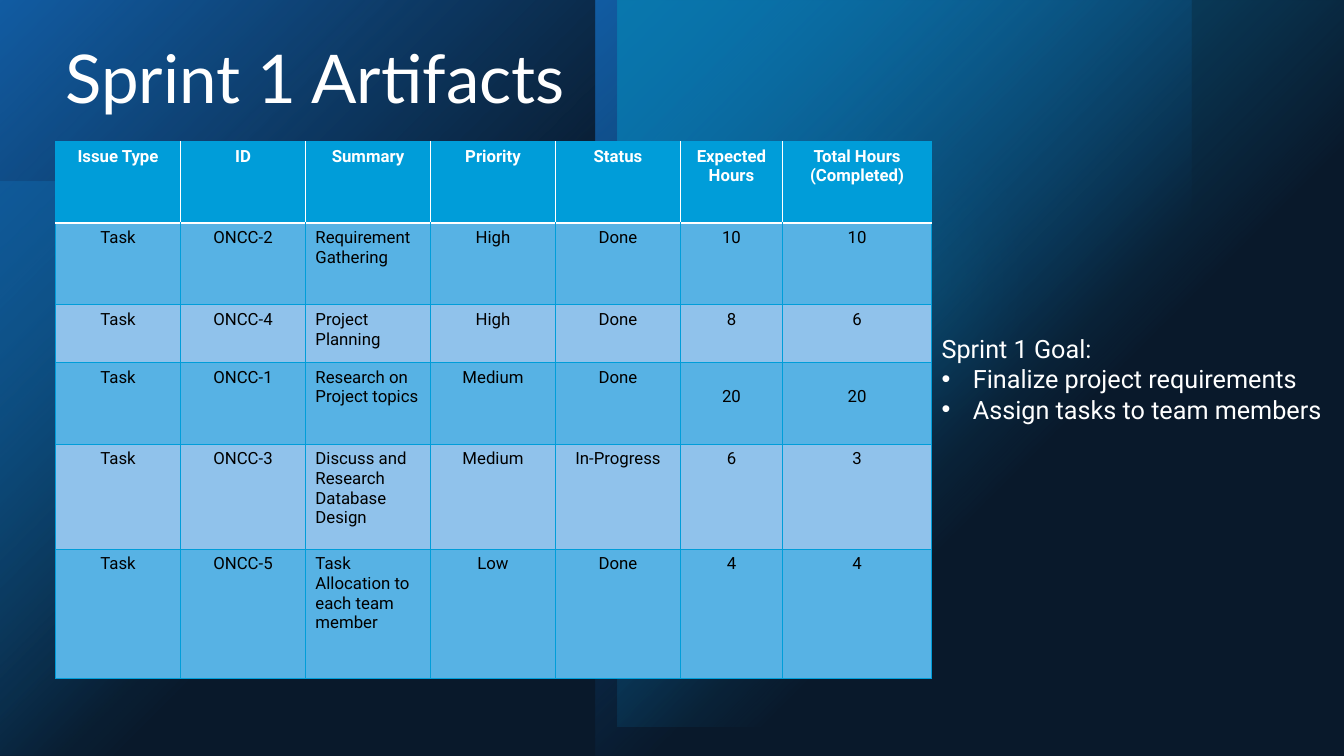
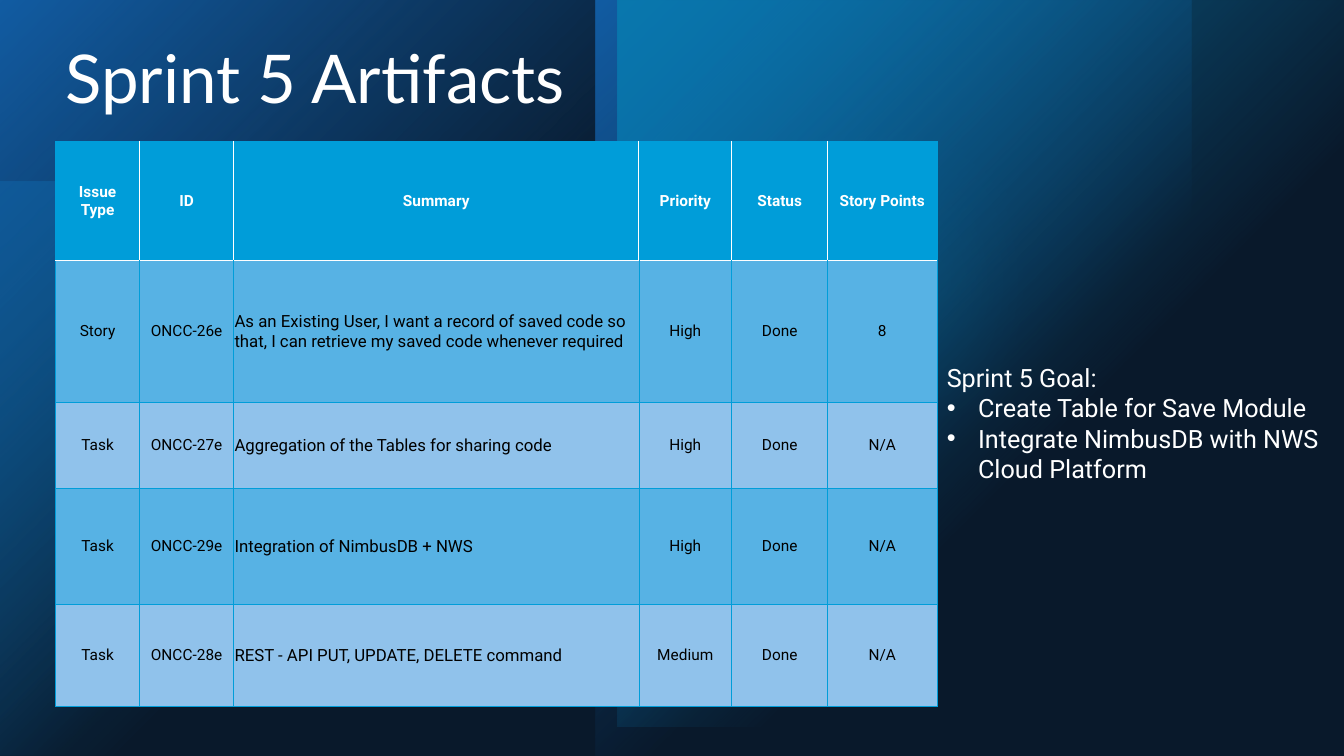
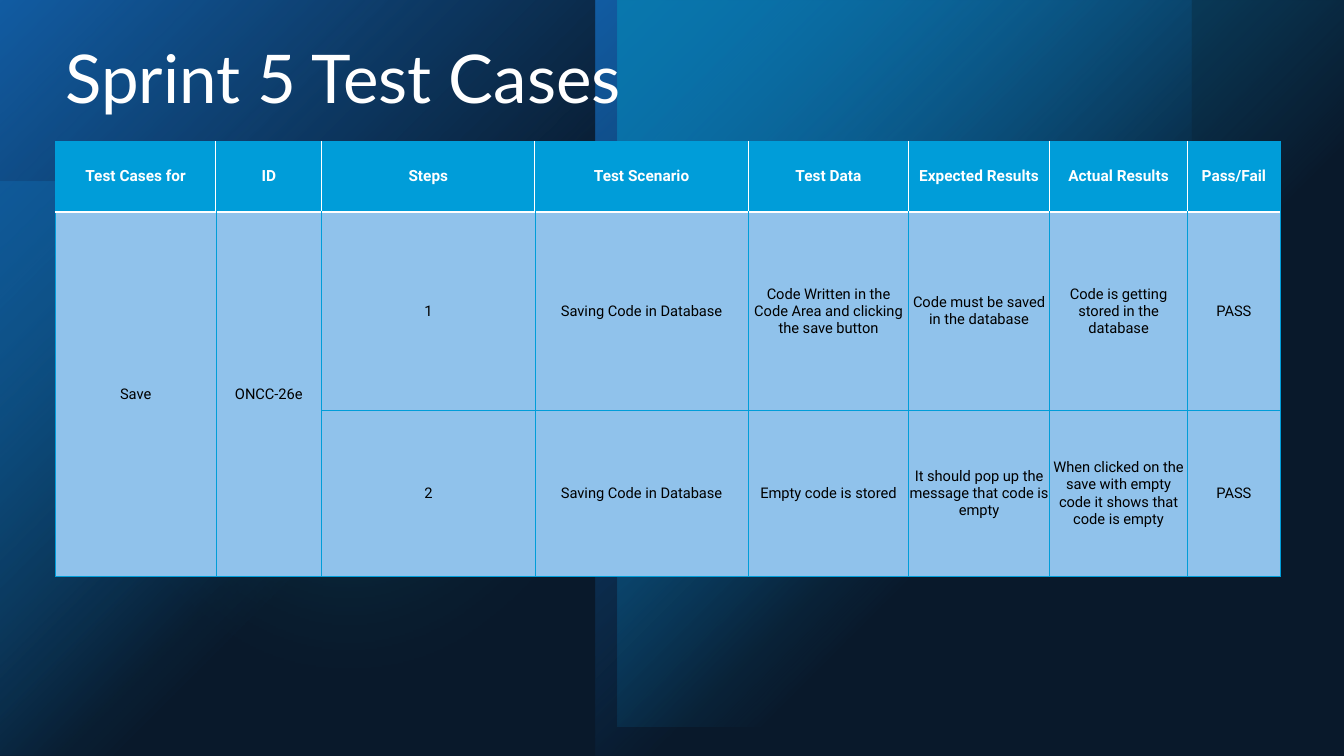
from dataclasses import dataclass, field

import pptx
import pptx.dml.color
import pptx.enum.shapes
import pptx.enum.text
import pptx.oxml
import pptx.oxml.ns
import pptx.util

Cm = pptx.util.Cm
Pt = pptx.util.Pt
SHAPE = pptx.enum.shapes.MSO_SHAPE
ALIGN = pptx.enum.text.PP_ALIGN
ANCHOR = pptx.enum.text.MSO_ANCHOR

# Shared look
COLORS = {
    "black": "000000",
    "white": "FFFFFF",
    "sky": "009DD9",
    "blue": "0F6FC6",
    "aqua": "0BD0D9",
    "navy": "17406D",
    "row": "90C2EB",
    "band": "57B2E4",
}
WIDTH, HEIGHT = 33.87, 19.05
LEFT, TABLE_TOP = 1.4, 3.56
NS = pptx.oxml.ns.nsdecls("a")


@dataclass
class Panel:
    """A backdrop shape, in cm; fade is a corner gradient, soft a blurred edge."""
    left: float
    top: float
    width: float
    height: float
    color: str
    alpha: int = 100
    kind: int = SHAPE.RECTANGLE
    fade: bool = False
    soft: bool = False


@dataclass
class Grid:
    """A table; sizes in cm, margins as left, top, right, bottom."""
    cols: list[float]
    rows: list[float]
    cells: list[list[str]]
    head_size: float = 11
    size: float = 11
    anchor: int = ANCHOR.MIDDLE
    margins: tuple = (0.25, 0.13, 0.25, 0.13)
    summary_col: int = -1
    summary_margins: tuple = (0.25, 0.13, 0.25, 0.13)
    banded: bool = True
    lowered: set = field(default_factory=set)
    merged_cols: tuple = ()


@dataclass
class Goal:
    """A heading with bullets beside the table."""
    top: float
    height: float
    heading: str
    bullets: list[str]


@dataclass
class Page:
    title: str
    grid: Grid
    goal: Goal | None = None


PANELS = [
    Panel(0, 4.57, 14.5, 14.48, "sky", 60, fade=True),
    Panel(15.98, 1.09, 11.99, 11.99, "aqua", 60, SHAPE.OVAL, soft=True),
    Panel(0, 1.42, 17.63, 17.63, "aqua", 20, SHAPE.OVAL, soft=True),
    Panel(0, 0, 15.01, HEIGHT, "blue", fade=True),
    Panel(15.01, 0, 15.01, HEIGHT, "blue", fade=True),
    Panel(15.57, 0, 18.3, 18.31, "sky", fade=True),
    Panel(0, 0, WIDTH, HEIGHT, "navy", 40),
]

PAGES = [
    Page(
        "Sprint 1 Artifacts",
        Grid(
            cols=[3.15] * 5 + [2.57, 3.76],
            rows=[2.06, 2.06, 1.45, 2.06, 2.64, 3.25],
            cells=[
                ["Issue Type", "ID", "Summary", "Priority", "Status",
                 "Expected Hours", "Total Hours\n(Completed)"],
                ["Task", "ONCC-2", "Requirement Gathering", "High", "Done", "10", "10"],
                ["Task", "ONCC-4", "Project Planning", "High", "Done", "8", "6"],
                ["Task", "ONCC-1", "Research on Project topics", "Medium", "Done", "20", "20"],
                ["Task", "ONCC-3", "Discuss and Research Database Design", "Medium",
                 "In-Progress", "6", "3"],
                ["Task", "ONCC-5", "Task Allocation to each team member", "Low",
                 "Done", "4", "4"],
            ],
            head_size=12, size=12, anchor=ANCHOR.TOP, summary_col=2,
            lowered={(3, 5), (3, 6)},
        ),
        Goal(8.26, 2.57, "Sprint 1 Goal:",
             ["Finalize project requirements", "Assign tasks to team members"]),
    ),
    Page(
        "Sprint 5 Artifacts",
        Grid(
            cols=[2.12, 2.37, 10.21, 2.34, 2.42, 2.75],
            rows=[3, 3.58, 2.16, 2.92, 2.59],
            cells=[
                ["Issue Type", "ID", "Summary", "Priority", "Status", "Story Points"],
                ["Story", "ONCC-26e",
                 "As an Existing User, I want a record of saved code so that, "
                 "I can retrieve my saved code whenever required", "High", "Done", "8"],
                ["Task", "ONCC-27e", "Aggregation of the Tables for sharing code",
                 "High", "Done", "N/A"],
                ["Task", "ONCC-29e", "Integration of NimbusDB + NWS", "High", "Done", "N/A"],
                ["Task", "ONCC-28e", "REST - API PUT, UPDATE, DELETE command",
                 "Medium", "Done", "N/A"],
            ],
            summary_col=2, summary_margins=(0.02, 0.02, 0.02, 0),
        ),
        Goal(8.99, 3.33, "Sprint 5 Goal:",
             ["Create Table for Save Module", "Integrate NimbusDB with NWS Cloud Platform"]),
    ),
    Page(
        "Sprint 5 Test Cases",
        Grid(
            cols=[4.04, 2.67, 5.37, 5.38, 4.04, 3.55, 3.48, 2.33],
            rows=[1.78, 5, 4.19],
            cells=[
                ["Test Cases for", "ID", "Steps", "Test Scenario", "Test Data",
                 "Expected Results", "Actual Results", "Pass/Fail"],
                ["Save", "ONCC-26e", "1", "Saving Code in Database",
                 "Code Written in the Code Area and clicking the save button",
                 "Code must be saved in the database",
                 "Code is getting stored in the database", "PASS"],
                ["", "", "2", "Saving Code in Database", "Empty code is stored",
                 "It should pop up the message that code is empty",
                 "When clicked on the save with empty code it shows that code is empty",
                 "PASS"],
            ],
            size=10.5, margins=(0, 0, 0, 0), banded=False, merged_cols=(0, 1),
        ),
    ),
]


def rgb(name: str) -> pptx.dml.color.RGBColor:
    return pptx.dml.color.RGBColor.from_string(COLORS[name])


def write(tf, text: str, *, size: float, font: str = "Roboto", color: str = "white",
          bold: bool = False, align: int = ALIGN.LEFT, spacing: float | None = None,
          bullet: bool = False) -> None:
    """Add one paragraph per line of text, starting with the empty first one."""
    for line in text.split("\n"):
        p = tf.paragraphs[-1]
        if p.runs:
            p = tf.add_paragraph()
        p.alignment = align
        if spacing:
            p.line_spacing = spacing
        if bullet:
            pPr = p._p.get_or_add_pPr()
            pPr.set("marL", str(Cm(0.79)))
            pPr.set("indent", str(-Cm(0.79)))
            pPr.append(pptx.oxml.parse_xml(f'<a:buFont {NS} typeface="Arial"/>'))
            pPr.append(pptx.oxml.parse_xml(f'<a:buChar {NS} char="•"/>'))
        r = p.add_run()
        r.text = line
        r.font.name, r.font.size, r.font.bold = font, Pt(size), bold
        r.font.color.rgb = rgb(color)


def add_text_box(s, left: float, top: float, width: float, height: float, anchor: int):
    tf = s.shapes.add_textbox(Cm(left), Cm(top), Cm(width), Cm(height)).text_frame
    tf.word_wrap = True
    tf.vertical_anchor = anchor
    return tf


# Backdrop
def draw_panel(s, panel: Panel) -> None:
    sp = s.shapes.add_shape(panel.kind, Cm(panel.left), Cm(panel.top),
                            Cm(panel.width), Cm(panel.height))
    sp.shadow.inherit = False
    sp.line.fill.background()
    spPr = sp._element.spPr

    def tint(alpha: int) -> str:
        return (f'<a:srgbClr val="{COLORS[panel.color]}">'
                f'<a:alpha val="{alpha * 1000}"/></a:srgbClr>')

    if panel.fade:
        fill = (f'<a:gradFill {NS} rotWithShape="1"><a:gsLst>'
                f'<a:gs pos="0">{tint(panel.alpha)}</a:gs>'
                f'<a:gs pos="60000">{tint(0)}</a:gs></a:gsLst>'
                '<a:path path="circle"><a:fillToRect r="100000" b="100000"/></a:path>'
                '</a:gradFill>')
    else:
        fill = f'<a:solidFill {NS}>{tint(panel.alpha)}</a:solidFill>'
    spPr.find(pptx.oxml.ns.qn("a:prstGeom")).addnext(pptx.oxml.parse_xml(fill))
    if panel.soft:
        effects = spPr.find(pptx.oxml.ns.qn("a:effectLst"))
        effects.append(pptx.oxml.parse_xml(f'<a:softEdge {NS} rad="{Pt(100)}"/>'))


# Tables
def set_border(cell, side: str, color: str, width: float) -> None:
    cell._tc.get_or_add_tcPr().append(pptx.oxml.parse_xml(
        f'<a:ln{side} {NS} w="{Pt(width)}"><a:solidFill>'
        f'<a:srgbClr val="{COLORS[color]}"/></a:solidFill></a:ln{side}>'))


def draw_grid(s, grid: Grid) -> None:
    tbl = s.shapes.add_table(len(grid.rows), len(grid.cols), Cm(LEFT), Cm(TABLE_TOP),
                             Cm(sum(grid.cols)), Cm(sum(grid.rows))).table
    tbl.horz_banding = False
    for col, width in zip(tbl.columns, grid.cols):
        col.width = Cm(width)
    for row, height in zip(tbl.rows, grid.rows):
        row.height = Cm(height)
    for i, texts in enumerate(grid.cells):
        for j, text in enumerate(texts):
            draw_cell(tbl.cell(i, j), grid, i, j, text)
    for j in grid.merged_cols:
        tbl.cell(1, j).merge(tbl.cell(len(grid.rows) - 1, j))


def draw_cell(cell, grid: Grid, i: int, j: int, text: str) -> None:
    head = i == 0
    summary = j == grid.summary_col and not head
    left, top, right, bottom = grid.summary_margins if summary else grid.margins
    if (i, j) in grid.lowered:
        top += 0.5
    cell.margin_left, cell.margin_top = Cm(left), Cm(top)
    cell.margin_right, cell.margin_bottom = Cm(right), Cm(bottom)
    cell.vertical_anchor = grid.anchor

    last = len(grid.cols) - 1
    if not head or j == 0:
        set_border(cell, "L", "sky", 0.5)
    if not head or j == last:
        set_border(cell, "R", "sky", 0.5)
    set_border(cell, "T", *(("white", 1) if i == 1 else ("sky", 0.5)))
    set_border(cell, "B", *(("white", 1) if head else ("sky", 0.5)))

    cell.fill.solid()
    body = "band" if grid.banded and i % 2 else "row"
    cell.fill.fore_color.rgb = rgb("sky" if head else body)
    if text:
        size = grid.head_size if head else 12 if summary else grid.size
        write(cell.text_frame, text, size=size, bold=head,
              color="white" if head else "black",
              align=ALIGN.LEFT if summary else ALIGN.CENTER)


# Slides
def draw_page(prs, page: Page) -> None:
    s = prs.slides.add_slide(prs.slide_layouts[6])
    for panel in PANELS:
        draw_panel(s, panel)
    tf = add_text_box(s, LEFT, 1.02, 30.84, 2.51, ANCHOR.TOP)
    write(tf, page.title, size=48, font="Lato", spacing=0.9)
    draw_grid(s, page.grid)
    if page.goal:
        left = LEFT + sum(page.grid.cols)
        tf = add_text_box(s, left, page.goal.top, WIDTH - left, page.goal.height,
                          ANCHOR.MIDDLE)
        write(tf, page.goal.heading, size=18)
        for bullet in page.goal.bullets:
            write(tf, bullet, size=18, bullet=True)


def main() -> None:
    prs = pptx.Presentation()
    prs.slide_width, prs.slide_height = Cm(WIDTH), Cm(HEIGHT)
    fill = prs.slide_master.background.fill
    fill.solid()
    fill.fore_color.rgb = rgb("black")
    for page in PAGES:
        draw_page(prs, page)
    prs.save("out.pptx")


if __name__ == "__main__":
    main()
